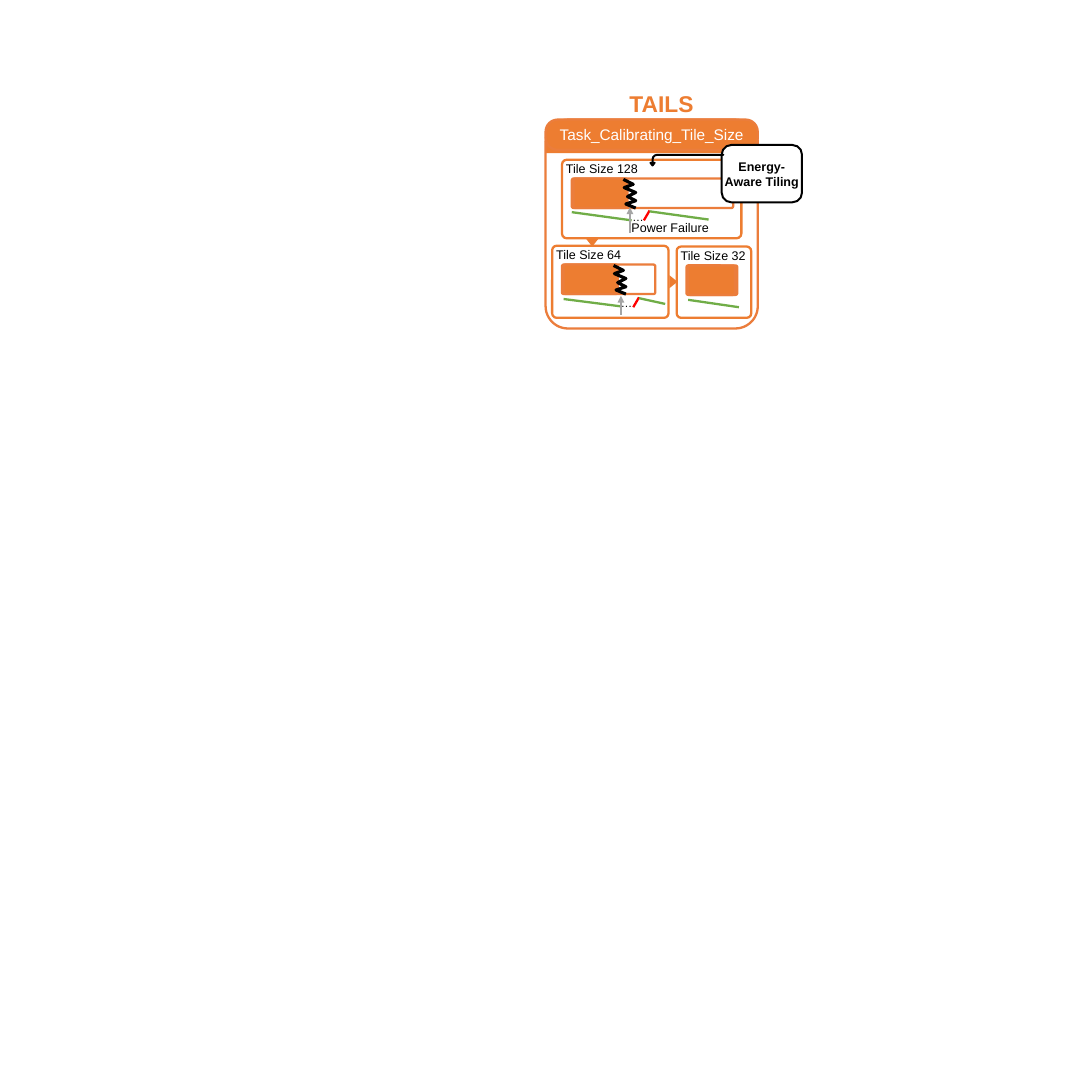
from lxml import etree
from pptx import Presentation
from pptx.dml.color import RGBColor
from pptx.enum import shapes, text
from pptx.oxml.ns import qn
from pptx.util import Inches, Pt

ORANGE = RGBColor(0xED, 0x7D, 0x31)
EDGE = RGBColor(0xEB, 0x7D, 0x3C)
GREEN = RGBColor(0x70, 0xAD, 0x47)
RED = RGBColor(0xFF, 0x00, 0x00)
GREY = RGBColor(0xA5, 0xA5, 0xA5)
BLACK = RGBColor(0x00, 0x00, 0x00)
WHITE = RGBColor(0xFF, 0xFF, 0xFF)

FORM = shapes.MSO_SHAPE
CORNER = 0.062
ZIGZAG = [(0, 0), (0.12, 0.06), (0.01, 0.1), (0.15, 0.16),
          (0.05, 0.21), (0.15, 0.26), (0.03, 0.3), (0.15, 0.35)]

# Left, top, width, height, bar width, filled width, interrupted, label
TILES = [
    (6.86, 1.95, 2.19, 0.96, 1.97, 0.66, True, "Tile Size 128"),
    (6.74, 3, 1.42, 0.88, 1.14, 0.66, True, "Tile Size 64"),
    (8.26, 3.01, 0.91, 0.87, 0.62, 0.57, False, "Tile Size 32"),
]
ENERGY_LINES = [
    (GREEN, 6.98, 2.59, 7.71, 2.69), (RED, 7.86, 2.69, 7.93, 2.57),
    (GREEN, 7.93, 2.58, 8.65, 2.68),
    (GREEN, 6.88, 3.65, 7.58, 3.74), (RED, 7.73, 3.75, 7.8, 3.63),
    (GREEN, 7.8, 3.64, 8.12, 3.71),
    (GREEN, 8.4, 3.66, 9.02, 3.75),
]
FAILURE_ARROWS = [(7.69, 2.84, 7.69, 2.53), (7.58, 3.84, 7.58, 3.61)]


def set_all(target, values):
    for name, value in values.items():
        setattr(target, name, value)


class Diagram:
    font_name = "Arial"
    line_width = 2

    def __init__(self, size):
        self.deck = Presentation()
        self.deck.slide_width = self.deck.slide_height = Inches(size)
        self.page = self.deck.slides.add_slide(self.deck.slide_layouts[5])

    def fill_text(self, box, words, size, color, bold=False, align="CENTER",
                  inset=0, wrap=True):
        frame = box.text_frame
        set_all(frame, {
            "margin_left": Inches(inset), "margin_right": Inches(inset),
            "margin_top": Inches(0.05), "margin_bottom": Inches(0.05),
            "word_wrap": wrap, "auto_size": text.MSO_AUTO_SIZE.NONE,
            "vertical_anchor": text.MSO_ANCHOR.MIDDLE,
        })
        para = frame.paragraphs[0]
        para.alignment = getattr(text.PP_ALIGN, align)
        span = para.add_run()
        span.text = words
        set_all(span.font, {"name": self.font_name, "size": Pt(size), "bold": bold})
        span.font.color.rgb = color

    def title(self, words, left, top, width, height):
        box = self.page.shapes.title
        set_all(box, {"left": Inches(left), "top": Inches(top),
                      "width": Inches(width), "height": Inches(height)})
        self.fill_text(box, words, 20, ORANGE, bold=True)

    def paint(self, shape, fill, line, width):
        shape.shadow.inherit = False
        if fill is None:
            shape.fill.background()
        else:
            shape.fill.solid()
            shape.fill.fore_color.rgb = fill
        if line is None:
            shape.line.fill.background()
        else:
            shape.line.color.rgb = line
            shape.line.width = Pt(width)

    def shape(self, form, left, top, width, height, fill=None, line=None,
              adjust=(), rotation=0, flip=False, weight=line_width, parent=None):
        owner = parent or self.page
        shape = owner.shapes.add_shape(
            form, Inches(left), Inches(top), Inches(width), Inches(height))
        for index, value in enumerate(adjust):
            shape.adjustments[index] = value
        shape.rotation = rotation
        if flip:
            shape._element.spPr.find(qn("a:xfrm")).set("flipV", "1")
        self.paint(shape, fill, line, weight)
        return shape

    def label(self, words, left, top, width, height=0.29, size=11):
        box = self.page.shapes.add_textbox(
            Inches(left), Inches(top), Inches(width), Inches(height))
        self.fill_text(box, words, size, BLACK, align="LEFT", inset=0.1, wrap=False)
        box.text_frame.vertical_anchor = text.MSO_ANCHOR.TOP

    def line(self, color, x1, y1, x2, y2, arrow=False):
        line = self.page.shapes.add_connector(
            shapes.MSO_CONNECTOR.STRAIGHT, Inches(x1), Inches(y1), Inches(x2), Inches(y2))
        line.line.color.rgb = color
        line.line.width = Pt(self.line_width)
        if arrow:
            outline = line._element.spPr.find(qn("a:ln"))
            etree.SubElement(outline, qn("a:tailEnd"), type="triangle")
        etree.SubElement(line._element.spPr, qn("a:effectLst"))

    def zigzag(self, left, top, parent):
        points = [(Inches(left + x), Inches(top + y)) for x, y in ZIGZAG]
        builder = parent.shapes.build_freeform(*points[0])
        builder.add_line_segments(points[1:], close=False)
        self.paint(builder.convert_to_shape(), None, BLACK, 2.75)

    def tile(self, left, top, width, height, bar_width, filled, interrupted, words):
        """Draw a panel with its label and its progress bar."""
        self.shape(FORM.ROUNDED_RECTANGLE, left, top, width, height, WHITE, ORANGE, [CORNER])
        group = self.page.shapes.add_group_shape()
        x, y = left + 0.12, top + 0.23
        for start, length, fill in ((x, bar_width, None), (x + 0.02, filled, ORANGE)):
            self.shape(FORM.ROUNDED_RECTANGLE, start, y, length, 0.36,
                       fill, EDGE, [CORNER], parent=group)
        if interrupted:
            self.zigzag(x + 0.63, y + 0.01, group)
        self.label(words, left - 0.05, top - 0.03, 1.1 if len(words) > 12 else 1.01)


def main():
    diagram = Diagram(13.33)
    diagram.title("TAILS", 7.58, 1.06, 0.99, 0.41)

    diagram.shape(FORM.RECTANGLE, 6.66, 1.74, 2.6, 0.13, ORANGE)
    diagram.shape(FORM.ROUNDED_RECTANGLE, 6.66, 1.46, 2.59, 2.55, None, EDGE, [0.107])
    header = diagram.shape(FORM.ROUNDED_RECTANGLE, 6.66, 1.46, 2.59, 0.37,
                           ORANGE, EDGE, [0.399])
    diagram.fill_text(header, "Task_Calibrating_Tile_Size", 13.5, WHITE, wrap=False)

    for tile in TILES:
        diagram.tile(*tile)
    diagram.shape(FORM.ISOSCELES_TRIANGLE, 7.15, 2.91, 0.16, 0.1, ORANGE, flip=True)
    diagram.shape(FORM.ISOSCELES_TRIANGLE, 8.14, 3.39, 0.16, 0.1, ORANGE,
                  rotation=270, flip=True)

    for energy_line in ENERGY_LINES:
        diagram.line(*energy_line)
    for failure_arrow in FAILURE_ARROWS:
        diagram.line(GREY, *failure_arrow, arrow=True)
    diagram.label("Power Failure", 7.61, 2.64, 1.16)
    for left, top in ((7.62, 2.52), (7.48, 3.57)):
        diagram.label("…", left, top, 0.34, 0.27, size=10)

    callout = diagram.shape(FORM.ROUNDED_RECTANGLE, 8.81, 1.77, 0.98, 0.7,
                            WHITE, BLACK, weight=1.75)
    diagram.fill_text(callout, "Energy-Aware Tiling", 11, BLACK, bold=True)
    diagram.shape(FORM.BENT_ARROW, 8.32, 1.51, 0.13, 0.89, BLACK, BLACK,
                  [0, 0.196, 0.25, 0.438], rotation=90, flip=True, weight=1.75)

    diagram.deck.save("out.pptx")


if __name__ == "__main__":
    main()
